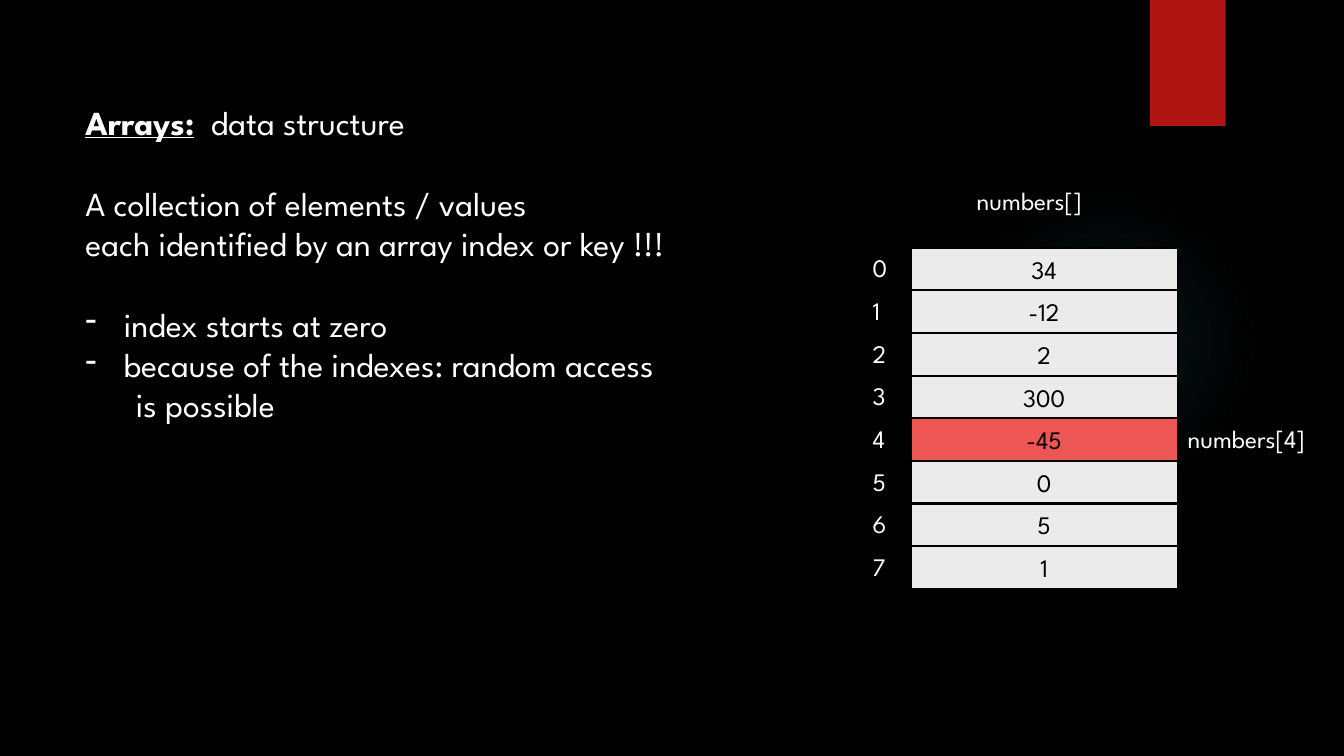
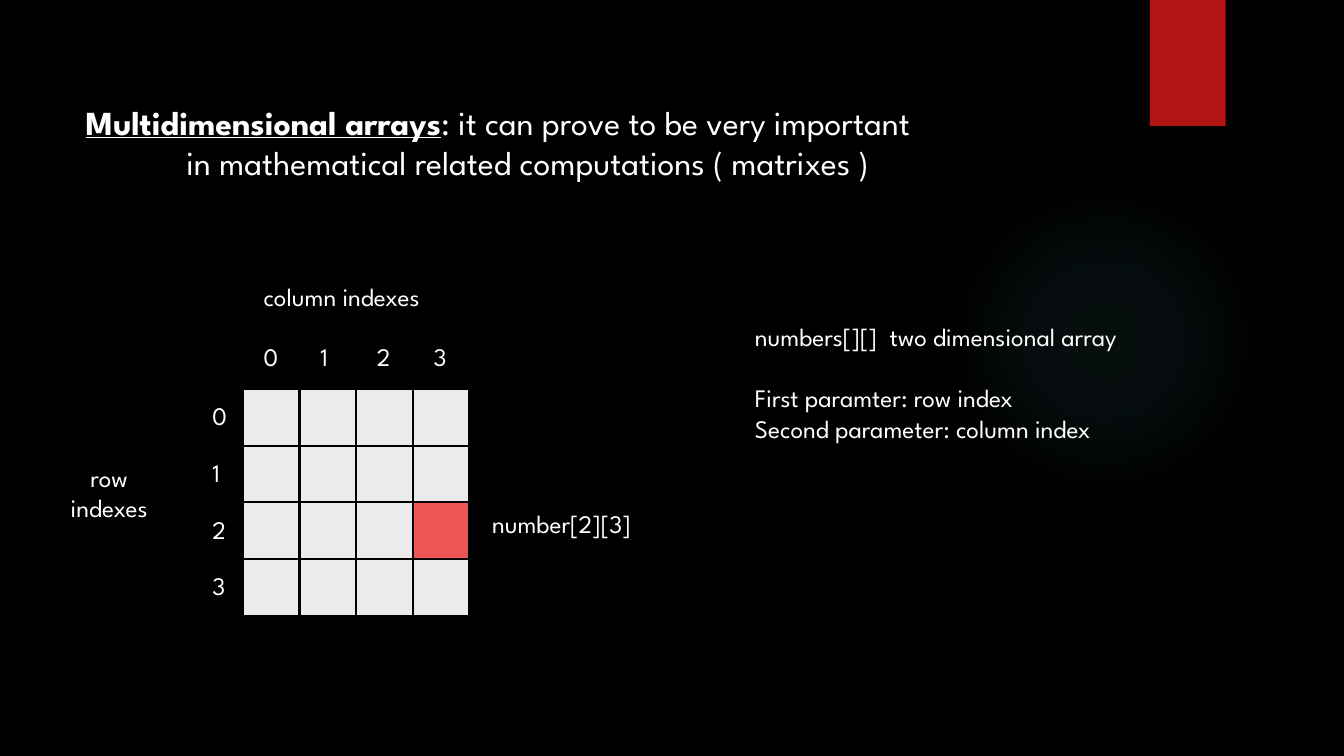
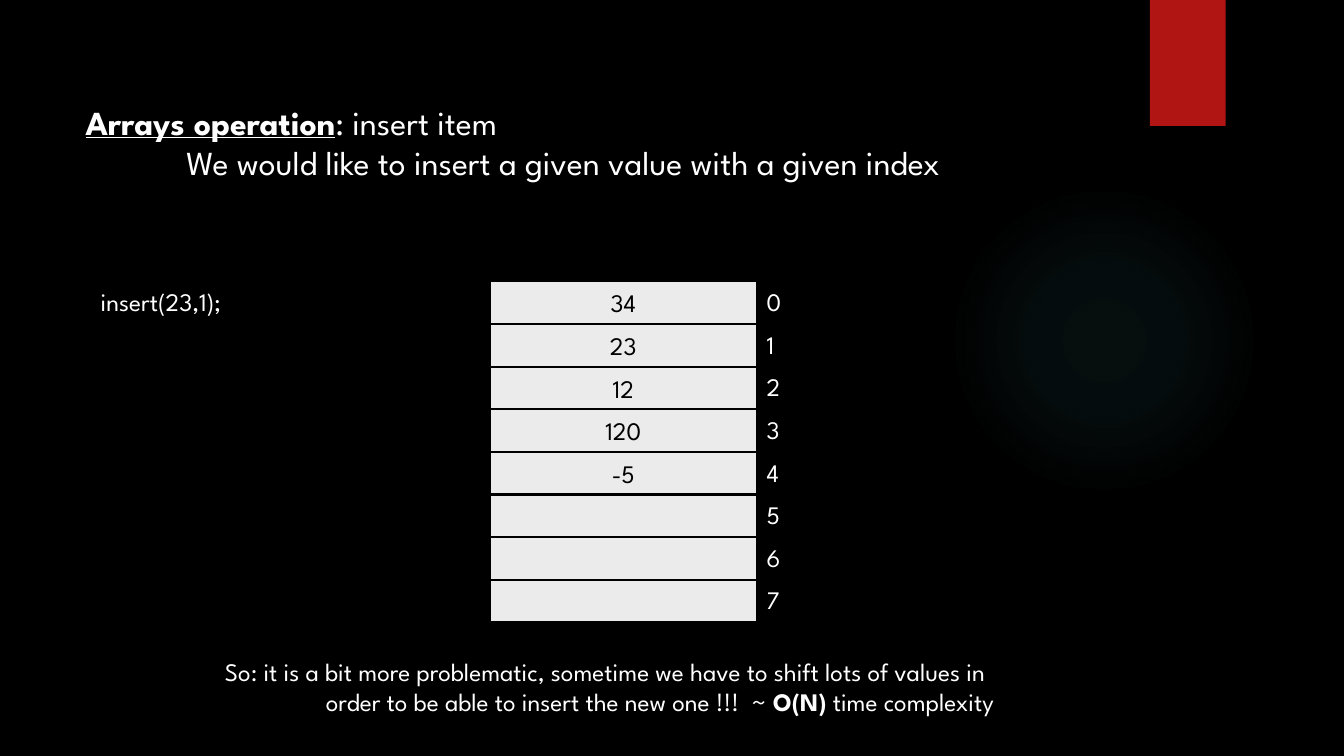
from dataclasses import dataclass

from pptx import Presentation
from pptx.dml.color import RGBColor
from pptx.enum.shapes import MSO_SHAPE as Shape
from pptx.enum.text import MSO_ANCHOR as Anchor, MSO_AUTO_SIZE as AutoSize, PP_ALIGN as Align
from pptx.oxml import parse_xml
from pptx.oxml.ns import nsdecls, qn
from pptx.util import Emu, Inches, Pt

COLUMNS, ROWS = 16, 9
UNIT = Inches(7.5) / ROWS
FONT = "League Spartan"
BLACK, WHITE = "000000", "FFFFFF"
CELL, MARKED = "EBEBEB", "ED5654"
RIBBON, GLOW = "B01513", "50B9C1"
LABEL_WIDTH, LABEL_HEIGHT = 0.41, 0.48
HEADING_SIZE, BODY_SIZE = 24, 18


@dataclass
class Box:
    left: float
    top: float
    width: float
    height: float

    def emu(self):
        return [Emu(round(n * UNIT)) for n in (self.left, self.top, self.width, self.height)]

    def at(self, dx, dy, width, height):
        return Box(self.left + dx, self.top + dy, width, height)

    def cell(self, row, column, rows, columns):
        width, height = self.width / columns, self.height / rows
        return self.at(column * width, row * height, width, height)


def rgb(value):
    return RGBColor.from_string(value)


def write(frame, text, size=BODY_SIZE, color=WHITE, align=Align.LEFT,
          gap=0, indent=0, hanging=0, bullet=None):
    paragraph = frame.paragraphs[0]
    if paragraph.runs:
        paragraph = frame.add_paragraph()
    paragraph.alignment = align
    paragraph.space_before = Pt(gap)
    properties = paragraph._p.get_or_add_pPr()
    properties.set("marL", str(Inches(indent)))
    properties.set("indent", str(-Inches(hanging)))
    if bullet:
        properties.append(parse_xml(f'<a:buChar {nsdecls("a")} char="{bullet}"/>'))
    for words, style in [(text, "")] if isinstance(text, str) else text:
        run = paragraph.add_run()
        run.text = words
        font = run.font
        font.name, font.size = FONT, Pt(size)
        font.color.rgb = rgb(color)
        font.bold, font.underline = "b" in style, "u" in style


def text_area(slide, box):
    frame = slide.shapes.add_textbox(*box.emu()).text_frame
    frame.word_wrap = False
    frame.auto_size = AutoSize.SHAPE_TO_FIT_TEXT
    return frame


def label(slide, box, text, **style):
    write(text_area(slide, box), text, **style)


def block(slide, box, kind=Shape.RECTANGLE, fill=None, line=None):
    shape = slide.shapes.add_shape(kind, *box.emu())
    shape.shadow.inherit = False
    if fill:
        shape.fill.solid()
        shape.fill.fore_color.rgb = rgb(fill)
    else:
        shape.fill.background()
    if line:
        shape.line.color.rgb = rgb(line)
        shape.line.width = Pt(1.5)
    else:
        shape.line.fill.background()
    return shape


def array_cell(slide, box, value="", marked=False):
    frame = block(slide, box, fill=MARKED if marked else CELL, line=BLACK).text_frame
    frame.vertical_anchor = Anchor.MIDDLE
    if value:
        write(frame, value, color=BLACK, align=Align.CENTER)


def decorate_master(master, slide):
    master.background.fill.solid()
    master.background.fill.fore_color.rgb = rgb(BLACK)
    glow = block(slide, Box(11.29, 2.2, 3.7, 3.7), Shape.OVAL)
    stops = "".join(
        f'<a:gs pos="{place * 1000}"><a:srgbClr val="{GLOW}">'
        f'<a:alpha val="{alpha * 1000}"/></a:srgbClr></a:gs>'
        for place, alpha in ((0, 7), (36, 6), (69, 0)))
    gradient = parse_xml(
        f'<a:gradFill {nsdecls("a")} rotWithShape="1"><a:gsLst>{stops}</a:gsLst>'
        '<a:path path="circle"><a:fillToRect l="50000" t="50000" r="50000" b="50000"/>'
        '</a:path></a:gradFill>')
    outline = glow.element.spPr
    outline.replace(outline.find(qn("a:noFill")), gradient)

    ribbon = block(slide, Box(13.69, 0, 0.9, 1.5), fill=RIBBON)
    ribbon.element.spPr.find(qn("a:effectLst")).append(parse_xml(
        f'<a:outerShdw {nsdecls("a")} blurRad="{Pt(3)}" dist="{Pt(2)}" dir="5400000" '
        f'rotWithShape="0"><a:srgbClr val="{BLACK}"><a:alpha val="45000"/></a:srgbClr>'
        '</a:outerShdw>'))
    for number, part in enumerate((glow, ribbon), 101):
        part.element.xpath(".//p:cNvPr")[0].set("id", str(number))
        master.shapes.element.append(part.element)


def heading(slide, box, term, rest, continuation=None):
    frame = text_area(slide, box)
    write(frame, [(term, "bu"), (rest, "")], size=HEADING_SIZE)
    if continuation:
        write(frame, continuation, size=HEADING_SIZE, indent=1)
    return frame


def array_column(slide, box, values, index_offset, marked=None):
    for index, value in enumerate(values):
        cell = box.cell(index, 0, len(values), 1)
        array_cell(slide, cell, value, index == marked)
        label(slide, cell.at(index_offset, 0, LABEL_WIDTH, LABEL_HEIGHT), str(index))


def matrix(slide, box, size, marked):
    for row in range(size):
        for column in range(size):
            array_cell(slide, box.cell(row, column, size, size), marked=(row, column) == marked)
    for index in range(size):
        row_head = box.cell(index, 0, size, size)
        column_head = box.cell(0, index, size, size)
        label(slide, row_head.at(-0.48, 0.08, LABEL_WIDTH, LABEL_HEIGHT), str(index))
        label(slide, column_head.at(0.13, -0.62, LABEL_WIDTH, LABEL_HEIGHT), str(index))


def arrays_slide(slide):
    array_box = Box(10.84, 2.95, 3.18, 4.06)
    array_column(slide, array_box, ["34", "-12", "2", "300", "-45", "0", "5", "1"], -0.57, marked=4)
    label(slide, array_box.at(0.67, -0.8, 1.73, LABEL_HEIGHT), "numbers[]")
    label(slide, array_box.at(3.18, 2.03, 1.9, LABEL_HEIGHT), "numbers[4]")

    frame = heading(slide, Box(0.9, 1.15, 8.57, 4.97), "Arrays:", "  data structure")
    write(frame, "A collection of elements / values", size=HEADING_SIZE, gap=29)
    write(frame, "each identified by an array index or key !!!", size=HEADING_SIZE)
    for point, gap in (("index starts at zero", 29),
                       ("because of the indexes: random access", 0)):
        write(frame, point, size=HEADING_SIZE, gap=gap, indent=0.38, hanging=0.38, bullet="-")
    write(frame, "is possible", size=HEADING_SIZE, indent=0.5)


def multidimensional_slide(slide):
    heading(slide, Box(0.9, 1.15, 11.84, 1.09), "Multidimensional arrays",
            ": it can prove to be very important",
            "in mathematical related computations ( matrixes )")
    matrix_box = Box(2.89, 4.63, 2.7, 2.7)
    matrix(slide, matrix_box, 4, marked=(2, 3))
    label(slide, matrix_box.at(0.13, -1.34, 2.54, LABEL_HEIGHT), "column indexes")
    label(slide, matrix_box.at(2.85, 1.36, 2.16, LABEL_HEIGHT), "number[2][3]")
    row_title = text_area(slide, matrix_box.at(-2.17, 0.81, 1.16, 0.85))
    for word in ("row", "indexes"):
        write(row_title, word, align=Align.CENTER)

    notes = text_area(slide, Box(8.87, 3.77, 5.35, 1.57))
    write(notes, "numbers[][]  two dimensional array")
    write(notes, "First paramter: row index", gap=22)
    write(notes, "Second parameter: column index")


def insert_slide(slide):
    heading(slide, Box(0.9, 1.15, 12.23, 1.09), "Arrays operation", ": insert item",
            "We would like to insert a given value with a given index")
    label(slide, Box(1.08, 3.35, 1.91, LABEL_HEIGHT), "insert(23,1);")
    array_column(slide, Box(5.83, 3.35, 3.18, 4.06),
                 ["34", "23", "12", "120", "-5", "", "", ""], 3.18)
    conclusion = text_area(slide, Box(2.56, 7.75, 10.93, 0.85))
    write(conclusion, "So: it is a bit more problematic, sometime we have to shift lots of values in")
    write(conclusion, [("order to be able to insert the new one !!!  ~ ", ""),
                       ("O(N)", "b"), (" time complexity", "")], indent=1)


def main():
    deck = Presentation()
    deck.slide_width, deck.slide_height = Emu(round(COLUMNS * UNIT)), Emu(round(ROWS * UNIT))
    builders = (arrays_slide, multidimensional_slide, insert_slide)
    slides = [deck.slides.add_slide(deck.slide_layouts[6]) for _ in builders]
    decorate_master(deck.slide_master, slides[0])
    for build, slide in zip(builders, slides):
        build(slide)
    deck.save("out.pptx")


if __name__ == "__main__":
    main()
